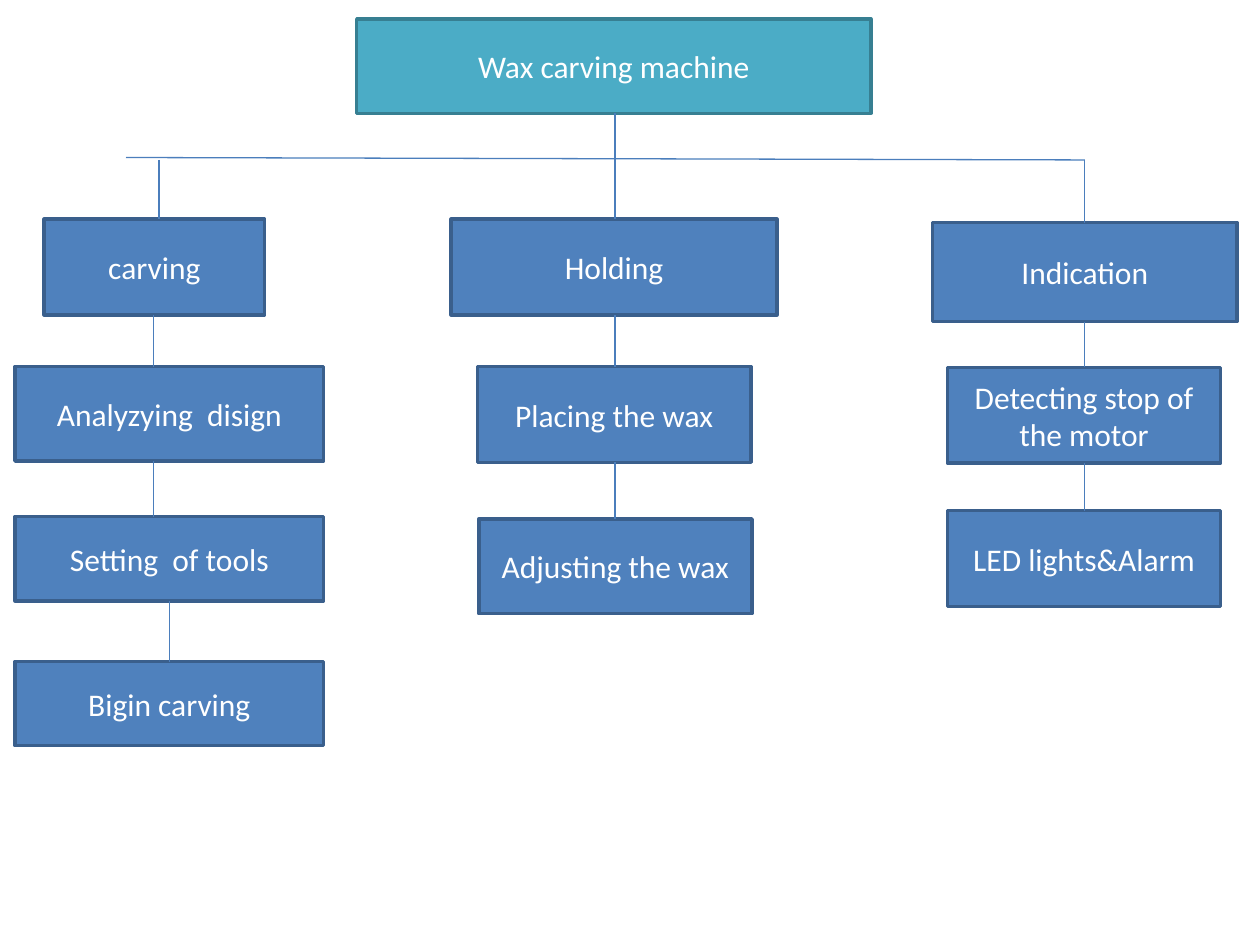
"""Build the function tree of a wax carving machine."""
from dataclasses import dataclass

from lxml.etree import SubElement
from pptx import Presentation
from pptx.dml.color import RGBColor
from pptx.enum.shapes import MSO_CONNECTOR, MSO_SHAPE
from pptx.enum.text import MSO_ANCHOR, PP_ALIGN
from pptx.oxml.ns import qn
from pptx.util import Pt

COLORS = {
    "root": "4BACC6",
    "root_line": "377F92",
    "step": "4F81BD",
    "step_line": "3A5F8C",
    "link": "4B7EBC",
    "text": "FFFFFF",
}


@dataclass
class Box:
    text: str
    left: float
    top: float
    width: float
    height: float
    link_x: float
    kind: str = "step"

    @property
    def bottom(self) -> float:
        return self.top + self.height


@dataclass
class Branch:
    start_y: float
    boxes: list[Box]


MID_X, RIGHT_X = 351.4, 619.9
RAIL_LEFT, RAIL_RIGHT = (72, 90), (RIGHT_X, 91.4)
ROOT = Box("Wax carving machine", 203.8, 10.8, 293.8, 54, MID_X, "root")
BRANCHES = [
    Branch(91.4, [
        Box("carving", 25.2, 125.3, 126, 54.7, 90.9),
        Box("Analyzying  disign", 8.6, 209.5, 176.4, 54, 87.8),
        Box("Setting  of tools", 8.6, 295.2, 176.4, 48.2, 87.8),
        Box("Bigin carving", 8.6, 378, 176.4, 48.2, 96.7),
    ]),
    Branch(ROOT.bottom, [
        Box("Holding", 257.8, 125.3, 186.2, 54.7, MID_X),
        Box("Placing the wax", 272.9, 209.5, 156.2, 54.7, MID_X),
        Box("Adjusting the wax", 273.6, 296.6, 156.2, 54, MID_X),
    ]),
    Branch(91.4, [
        Box("Indication", 532.8, 127.2, 174.2, 56.6, RIGHT_X),
        Box("Detecting stop of the motor", 541.4, 210, 156.2, 54.7, RIGHT_X),
        Box("LED lights&Alarm", 541.4, 291.8, 156.2, 54.7, RIGHT_X),
    ]),
]


def add_link(s, x1: float, y1: float, x2: float, y2: float) -> None:
    """Draw a thin straight line without a shadow."""
    line = s.shapes.add_connector(MSO_CONNECTOR.STRAIGHT, Pt(x1), Pt(y1), Pt(x2), Pt(y2))
    line.line.color.rgb = RGBColor.from_string(COLORS["link"])
    line.line.width = Pt(0.75)
    SubElement(line._element.spPr, qn("a:effectLst"))


def add_box(s, box: Box) -> None:
    """Draw a filled box with a centred label."""
    sp = s.shapes.add_shape(
        MSO_SHAPE.RECTANGLE, Pt(box.left), Pt(box.top), Pt(box.width), Pt(box.height))
    sp.shadow.inherit = False
    sp.fill.solid()
    sp.fill.fore_color.rgb = RGBColor.from_string(COLORS[box.kind])
    sp.line.color.rgb = RGBColor.from_string(COLORS[f"{box.kind}_line"])
    sp.line.width = Pt(2)
    tf = sp.text_frame
    tf.word_wrap = True
    tf.vertical_anchor = MSO_ANCHOR.MIDDLE
    p = tf.paragraphs[0]
    p.text = box.text
    p.alignment = PP_ALIGN.CENTER
    p.font.name = "Calibri"
    p.font.size = Pt(18)
    p.font.color.rgb = RGBColor.from_string(COLORS["text"])


def add_branch(s, branch: Branch) -> None:
    """Draw a column of boxes, each linked to the one above."""
    y = branch.start_y
    for box in branch.boxes:
        add_box(s, box)
        add_link(s, box.link_x, y, box.link_x, box.top)
        y = box.bottom


def main() -> None:
    """Build and save the slide."""
    prs = Presentation()
    prs.slide_width, prs.slide_height = Pt(720), Pt(540)
    s = prs.slides.add_slide(prs.slide_layouts[6])
    add_box(s, ROOT)
    add_link(s, *RAIL_LEFT, *RAIL_RIGHT)
    for branch in BRANCHES:
        add_branch(s, branch)
    prs.save("out.pptx")


main()
